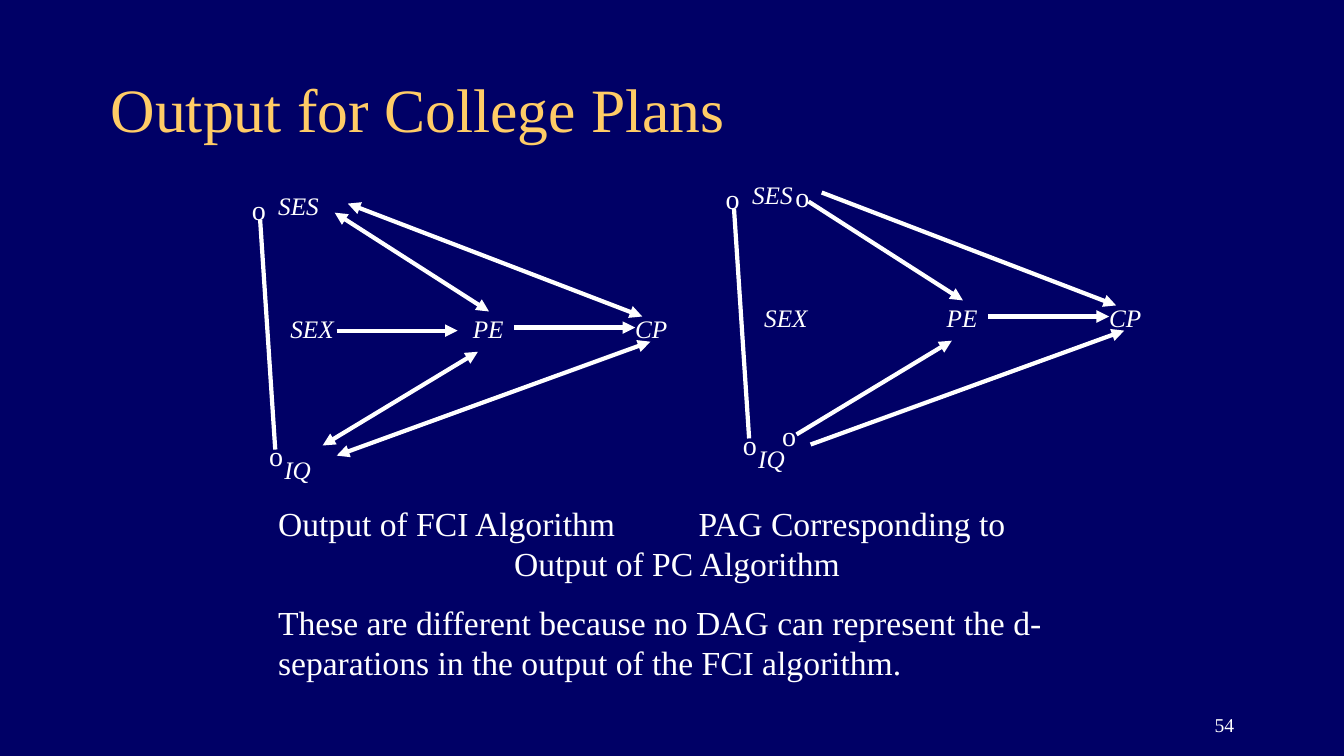
"""Build the slide comparing FCI and PC output for the College Plans data."""
from dataclasses import dataclass

from lxml import etree
from pptx import Presentation
from pptx.dml.color import RGBColor
from pptx.enum.shapes import MSO_CONNECTOR
from pptx.enum.text import MSO_ANCHOR, PP_ALIGN
from pptx.oxml.ns import qn
from pptx.slide import Slide
from pptx.text.text import TextFrame
from pptx.util import Inches, Pt

STRAIGHT = MSO_CONNECTOR.STRAIGHT
TOP, MIDDLE, BOTTOM = MSO_ANCHOR.TOP, MSO_ANCHOR.MIDDLE, MSO_ANCHOR.BOTTOM
LEFT, RIGHT = PP_ALIGN.LEFT, PP_ALIGN.RIGHT
FONT = "Times New Roman"
NAVY, WHITE, GOLD = "000066", "FFFFFF", "FFCC66"


@dataclass(frozen=True)
class Label:
    text: str
    x: float
    y: float


@dataclass(frozen=True)
class Edge:
    start: tuple[float, float]
    end: tuple[float, float]
    ends: tuple[str, ...] = ("tailEnd",)


@dataclass(frozen=True)
class Diagram:
    dx: float
    dy: float
    edges: list[Edge]
    circles: list[tuple[float, float]]


VARIABLES = [
    Label("SES", 2.76, 1.89),
    Label("SEX", 2.88, 3.11),
    Label("PE", 4.69, 3.11),
    Label("CP", 6.3, 3.11),
    Label("IQ", 2.82, 4.51),
]
SES_IQ = Edge((2.58, 2.18), (2.73, 4.46), ())
PE_CP = Edge((5.1, 3.25), (6.3, 3.25))
SEX_PE = Edge((3.34, 3.28), (4.54, 3.28))
CONFOUNDED = [
    ((3.34, 4.52), (6.45, 3.39)),
    ((3.45, 2.02), (6.37, 3.14)),
    ((3.32, 2.11), (4.85, 3.09)),
    ((3.2, 4.42), (4.74, 3.49)),
]
SES_IQ_CIRCLES = [(2.4, 1.86), (2.57, 4.3)]
PE_CIRCLES = [(3.09, 1.84), (2.96, 4.21)]

DIAGRAMS = [
    Diagram(0, 0,
            [SES_IQ, PE_CP, SEX_PE]
            + [Edge(start, end, ("headEnd", "tailEnd")) for start, end in CONFOUNDED],
            SES_IQ_CIRCLES),
    Diagram(4.7, -0.11,
            [SES_IQ, PE_CP] + [Edge(start, end) for start, end in CONFOUNDED],
            SES_IQ_CIRCLES + PE_CIRCLES),
]
CAPTIONS = [
    "Output of FCI Algorithm\tPAG Corresponding to\v\tOutput of PC Algorithm",
    "These are different because no DAG can represent the d-separations "
    "in the output of the FCI algorithm.",
]
CAPTION_TABS = [2.34, 4.17]


def color(value: str) -> RGBColor:
    return RGBColor.from_string(value)


def add_text(slide: Slide, paragraphs: list[str], box: tuple[float, float, float, float],
             size: float, fill: str = WHITE, italic: bool = False, anchor: MSO_ANCHOR = TOP,
             align: PP_ALIGN = LEFT, inset: bool = True,
             tabs: tuple[float, ...] | list[float] = ()) -> TextFrame:
    frame = slide.shapes.add_textbox(*map(Inches, box)).text_frame
    frame.word_wrap = True
    frame.vertical_anchor = anchor
    if not inset:
        frame.margin_left = frame.margin_right = frame.margin_top = frame.margin_bottom = 0
    for index, text in enumerate(paragraphs):
        paragraph = frame.add_paragraph() if index else frame.paragraphs[0]
        paragraph.text = text
        paragraph.alignment = align
        if index:
            paragraph.space_before = Pt(13)
        elif tabs:
            tab_list = etree.SubElement(paragraph._p.get_or_add_pPr(), qn("a:tabLst"))
            for position in tabs:
                etree.SubElement(tab_list, qn("a:tab"), pos=str(Inches(position)), algn="l")
        font = paragraph.font
        font.name, font.size, font.italic = FONT, Pt(size), italic
        font.color.rgb = color(fill)
    return frame


def add_edge(slide: Slide, edge: Edge, dx: float, dy: float) -> None:
    (x1, y1), (x2, y2) = edge.start, edge.end
    connector = slide.shapes.add_connector(
        STRAIGHT, Inches(x1 + dx), Inches(y1 + dy), Inches(x2 + dx), Inches(y2 + dy))
    connector.line.color.rgb = color(WHITE)
    connector.line.width = Pt(3)
    outline = connector.line._get_or_add_ln()
    for end in edge.ends:
        etree.SubElement(outline, qn(f"a:{end}"), type="triangle")
    etree.SubElement(connector._element.spPr, qn("a:effectLst"))


def add_diagram(slide: Slide, diagram: Diagram) -> None:
    dx, dy = diagram.dx, diagram.dy
    for label in VARIABLES:
        add_text(slide, [label.text], (label.x + dx, label.y + dy, 0.6, 0.28), 18,
                 italic=True, inset=False)
    for edge in diagram.edges:
        add_edge(slide, edge, dx, dy)
    for x, y in diagram.circles:
        add_text(slide, ["o"], (x + dx, y + dy, 0.44, 0.43), 20)


def main() -> None:
    presentation = Presentation()
    presentation.slide_width, presentation.slide_height = Inches(13.33), Inches(7.5)
    slide = presentation.slides.add_slide(presentation.slide_layouts[6])
    slide.background.fill.solid()
    slide.background.fill.fore_color.rgb = color(NAVY)

    title = add_text(slide, ["Output for College Plans"], (1, 0.58, 11.33, 1.08), 44,
                     fill=GOLD, anchor=MIDDLE)
    title.paragraphs[0].line_spacing = 0.9
    for diagram in DIAGRAMS:
        add_diagram(slide, diagram)
    add_text(slide, CAPTIONS, (2.66, 4.94, 9, 1.92), 24, tabs=CAPTION_TABS)
    add_text(slide, ["54"], (9.56, 6.86, 2.78, 0.5), 14, anchor=BOTTOM, align=RIGHT)
    presentation.save("out.pptx")


if __name__ == "__main__":
    main()
